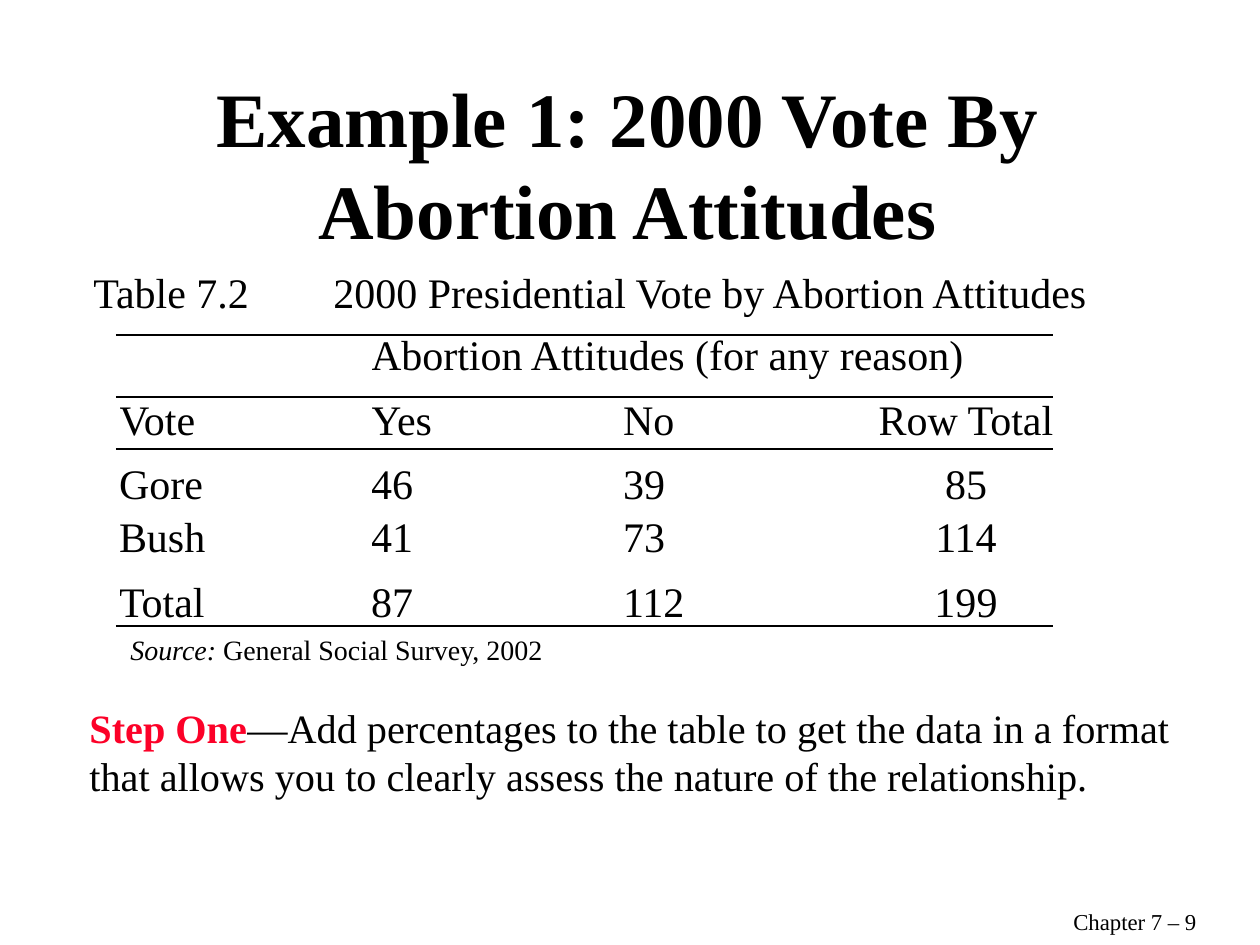
from lxml import etree
from pptx import Presentation
from pptx.dml.color import RGBColor as Rgb
from pptx.enum.shapes import MSO_CONNECTOR as Conn
from pptx.enum.text import MSO_ANCHOR as Anchor, PP_ALIGN as Align
from pptx.oxml.ns import qn
from pptx.util import Emu, Pt

FONT = "Times New Roman"
COLORS = {"ink": "000000", "step": "FC0128"}


def px(n):
    return Emu(round(n * 914400 / 126))


def style(run, size, color="ink", bold=False, italic=False):
    font = run.font
    font.name, font.size = FONT, Pt(size)
    font.bold, font.italic = bold, italic
    font.color.rgb = Rgb.from_string(COLORS[color])


def add_text(slide, box, parts, size, wrap=True, align=Align.LEFT):
    """Place one paragraph; parts are (text, style options) pairs."""
    frame = slide.shapes.add_textbox(*map(px, box)).text_frame
    frame.word_wrap = wrap
    para = frame.paragraphs[0]
    para.alignment = align
    for text, opts in parts:
        run = para.add_run()
        run.text = text
        style(run, size, **opts)
    return frame


def add_title(slide, box):
    text = "Example 1: 2000 Vote By Abortion Attitudes"
    frame = add_text(slide, box, [(text, {"bold": True})], 44,
                     align=Align.CENTER)
    frame.vertical_anchor = Anchor.MIDDLE


def add_caption(slide, box):
    text = "Table 7.2\t2000 Presidential Vote by Abortion Attitudes"
    frame = add_text(slide, box, [(text, {})], 24)
    # Tab stop between the table number and its name
    props = frame.paragraphs[0]._p.get_or_add_pPr()
    tabs = etree.SubElement(props, qn("a:tabLst"))
    etree.SubElement(tabs, qn("a:tab"), pos=str(px(240)), algn="l")


def add_rule(slide, left, right, y):
    line = slide.shapes.add_connector(
        Conn.STRAIGHT, px(left), px(y), px(right), px(y))
    line.line.width = Pt(1)
    line.line.color.rgb = Rgb.from_string(COLORS["ink"])
    etree.SubElement(line._element.spPr, qn("a:effectLst"))


def add_votes(slide, box):
    left, top, width, height = box
    rows = [
        ["", "Abortion Attitudes (for any reason)", "", ""],
        ["Vote", "Yes", "No", "Row Total"],
        ["Gore", "46", "39", "85"],
        ["Bush", "41", "73", "114"],
        ["Total", "87", "112", "199"],
    ]
    table = slide.shapes.add_table(
        len(rows), len(rows[0]), *map(px, box)).table
    table.first_row = table.horz_banding = False
    wide = 252
    for col, size in zip(table.columns, [wide] * 3 + [width - 3 * wide]):
        col.width = px(size)
    for row, size in zip(table.rows, [65, 64, 53, 65, height - 247]):
        row.height = px(size)
    table.cell(0, 1).merge(table.cell(0, 3))

    for r, row in enumerate(rows):
        for c, text in enumerate(row):
            cell = table.cell(r, c)
            cell.fill.background()
            cell.margin_left = cell.margin_right = 0
            cell.margin_top = cell.margin_bottom = 0
            para = cell.text_frame.paragraphs[0]
            para.text = text
            para.alignment = Align.CENTER if c == 3 else Align.LEFT
            para.font.size = Pt(24)
            for run in para.runs:
                style(run, 24)

    # Rules above, between and below the rows
    for y in (2, 64, 116, 293):
        add_rule(slide, left - 3, left + width - 4, top + y)


def add_source(slide, box):
    add_text(slide, box, [("Source: ", {"italic": True}),
                          ("General Social Survey, 2002", {})], 16)


def add_step(slide, box):
    text = ("—Add percentages to the table to get the data in a format "
            "that allows you to clearly assess the nature of the relationship.")
    add_text(slide, box, [("Step One", {"color": "step", "bold": True}),
                          (text, {})], 23)


def add_footer(slide, box):
    add_text(slide, box, [("Chapter 7 – 9", {})], 13, wrap=False)


def main():
    deck = Presentation()
    deck.slide_width, deck.slide_height = px(1260), px(945)
    slide = deck.slides.add_slide(deck.slide_layouts[6])
    add_title(slide, (92, 84, 1071, 158))
    add_caption(slide, (81, 260, 1033, 63))
    add_votes(slide, (119, 333, 938, 296))
    add_source(slide, (118, 626, 1010, 47))
    add_step(slide, (77, 697, 1125, 110))
    add_footer(slide, (1061, 902, 148, 40))
    deck.save("out.pptx")


if __name__ == "__main__":
    main()
